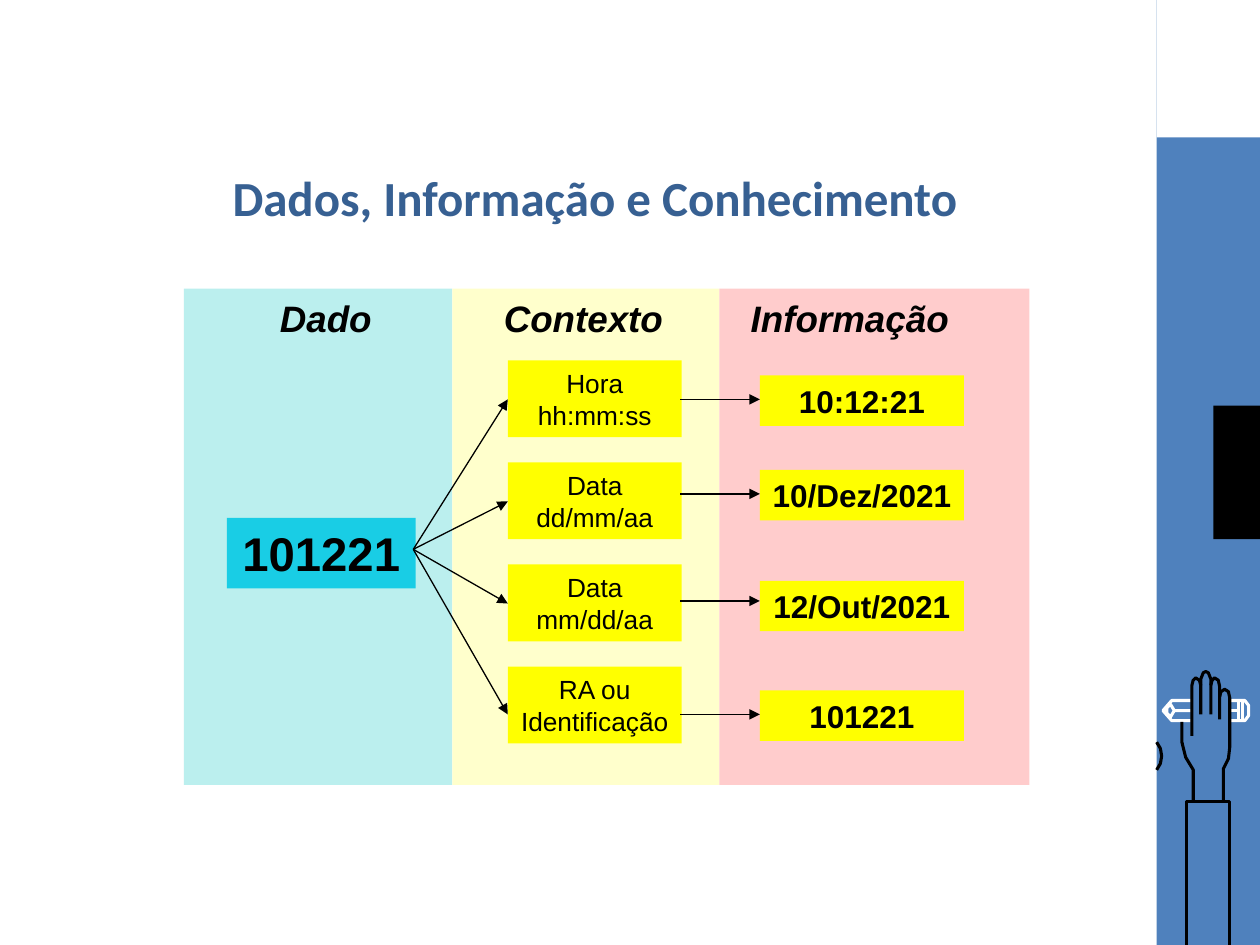
from lxml.etree import SubElement
from pptx import Presentation
from pptx.dml.color import RGBColor
from pptx.enum.shapes import MSO_CONNECTOR as Connector, MSO_SHAPE as Shape
from pptx.enum.text import MSO_ANCHOR as Anchor, PP_ALIGN as Align
from pptx.oxml.ns import qn
from pptx.util import Inches, Pt

BLUE = RGBColor(0x4F, 0x81, 0xBD)
TITLE_BLUE = RGBColor(0x37, 0x60, 0x92)
WHITE = RGBColor(0xFF, 0xFF, 0xFF)
BLACK = RGBColor(0x00, 0x00, 0x00)
AQUA = RGBColor(0xBB, 0xEF, 0xEE)
CREAM = RGBColor(0xFF, 0xFF, 0xCC)
PINK = RGBColor(0xFF, 0xCC, 0xCC)
CYAN = RGBColor(0x19, 0xCD, 0xE5)
YELLOW = RGBColor(0xFF, 0xFF, 0x00)

PENCIL_OUTLINES = [
    [(9.45, 5.56), (9.3, 5.56), (9.23, 5.64), (9.3, 5.72), (9.45, 5.72)],
    [(9.45, 5.64), (9.32, 5.64), (9.29, 5.59), (9.26, 5.62), (9.26, 5.66),
     (9.29, 5.69), (9.32, 5.64)],
    [(9.77, 5.56), (9.88, 5.56), (9.91, 5.6), (9.91, 5.68), (9.88, 5.72), (9.77, 5.72)],
    [(9.77, 5.64), (9.83, 5.64)],
    [(9.83, 5.56), (9.83, 5.72)],
    [(9.86, 5.56), (9.86, 5.72)],
]
HAND_OUTLINES = [
    [(9.46, 5.84), (9.46, 5.44), (9.47, 5.4), (9.49, 5.38), (9.52, 5.4), (9.53, 5.44),
     (9.53, 5.67)],
    [(9.53, 5.44), (9.53, 5.39), (9.55, 5.34), (9.57, 5.33), (9.59, 5.34), (9.61, 5.39),
     (9.61, 5.67)],
    [(9.61, 5.44), (9.62, 5.4), (9.64, 5.38), (9.67, 5.4), (9.68, 5.45), (9.68, 5.71)],
    [(9.68, 5.53), (9.69, 5.49), (9.72, 5.47), (9.75, 5.49), (9.76, 5.54), (9.76, 5.93),
     (9.75, 6.02), (9.71, 6.1), (9.71, 6.36)],
    [(9.38, 5.73), (9.38, 5.89), (9.41, 6.01), (9.47, 6.11), (9.47, 6.36)],
    [(9.42, 7.5), (9.42, 6.36), (9.76, 6.36), (9.76, 7.5)],
    [(9.18, 5.89), (9.21, 5.94), (9.22, 6), (9.21, 6.06), (9.18, 6.11)],
]


def add_box(page, left, top, width, height, color):
    box = page.shapes.add_shape(
        Shape.RECTANGLE, Inches(left), Inches(top), Inches(width), Inches(height))
    box.shadow.inherit = False
    box.fill.solid()
    box.fill.fore_color.rgb = color
    box.line.fill.background()
    return box


def write(box, lines, size, bold=False, italic=False, align=Align.CENTER,
          anchor=Anchor.MIDDLE, margin=0.1):
    frame = box.text_frame
    frame.word_wrap = True
    frame.vertical_anchor = anchor
    frame.margin_left = frame.margin_right = Inches(margin)
    frame.text = lines
    for para in frame.paragraphs:
        para.alignment = align
        font = para.font
        font.name, font.size = "Arial", Pt(size)
        font.bold, font.italic = bold, italic
        font.color.rgb = BLACK


def add_arrow(page, start, end):
    arrow = page.shapes.add_connector(
        Connector.STRAIGHT, *(Inches(value) for value in (*start, *end)))
    arrow.line.color.rgb = BLACK
    arrow.line.width = Pt(0.75)
    SubElement(arrow.line._get_or_add_ln(), qn("a:tailEnd"), type="triangle")
    SubElement(arrow._element.spPr, qn("a:effectLst"))


def add_outline(page, points, color):
    corners = [(Inches(x), Inches(y)) for x, y in points]
    builder = page.shapes.build_freeform(*corners[0])
    builder.add_line_segments(corners[1:], close=False)
    outline = builder.convert_to_shape()
    outline.shadow.inherit = False
    outline.fill.background()
    outline.line.color.rgb = color
    outline.line.width = Pt(1.75)


def add_side_band(page):
    page.background.fill.solid()
    page.background.fill.fore_color.rgb = BLUE
    add_box(page, 0, 0, 9.18, 7.5, WHITE)
    add_box(page, 9.18, 0, 0.82, 1.09, WHITE)
    add_box(page, 9.63, 3.22, 0.37, 1.06, BLACK)
    for points in PENCIL_OUTLINES:
        add_outline(page, points, WHITE)
    for points in HAND_OUTLINES:
        add_outline(page, points, BLACK)


def add_title(page, left, top, width, height):
    title = page.shapes.title
    title.left, title.top = Inches(left), Inches(top)
    title.width, title.height = Inches(width), Inches(height)
    frame = title.text_frame
    frame.text = "Dados, Informação e Conhecimento"
    frame.vertical_anchor = Anchor.BOTTOM
    frame.margin_top = frame.margin_bottom = Inches(0.1)
    para = frame.paragraphs[0]
    para.alignment = Align.CENTER
    para.font.name, para.font.size, para.font.bold = "Calibri", Pt(28), True
    para.font.color.rgb = TITLE_BLUE


def add_columns(page, left, top, height):
    columns = [
        ("Dado", 2.13, AQUA, 0.25, 1.75, Align.CENTER),
        ("Contexto", 2.12, CREAM, 0.31, 1.5, Align.LEFT),
        ("Informação", 2.46, PINK, 0.15, 2.12, Align.LEFT),
    ]
    for heading, width, color, indent, text_width, align in columns:
        add_box(page, left, top, width, height, color)
        label = page.shapes.add_textbox(
            Inches(left + indent), Inches(top + 0.01), Inches(text_width), Inches(0.45))
        write(label, heading, 21, bold=True, italic=True, align=align, anchor=Anchor.TOP)
        left += width


def add_flow(page, left, top):
    source = add_box(page, left, top + 1.25, 1.5, 0.56, CYAN)
    write(source, "101221", 27, bold=True)
    origin = (left + 1.48, top + 1.5)
    context_left, result_left = left + 2.23, left + 4.23
    readings = [
        ("Hora\nhh:mm:ss", "10:12:21", 0.12, 3.17, 3.17),
        ("Data\ndd/mm/aa", "10/Dez/2021", 0.87, 3.98, 3.92),
        ("Data\nmm/dd/aa", "12/Out/2021", 1.75, 4.79, 4.77),
        ("RA ou Identificação", "101221", 2.62, 5.67, 5.67),
    ]
    for row, (context, result, offset, entry, level) in enumerate(readings):
        context_box = add_box(page, context_left, top + 0.81 * row, 1.38, 0.61, YELLOW)
        write(context_box, context, 15, margin=0.05)
        result_box = add_box(page, result_left, top + offset, 1.62, 0.4, YELLOW)
        write(result_box, result, 18, bold=True, margin=0.05)
        add_arrow(page, origin, (context_left, entry))
        add_arrow(page, (context_left + 1.37, level), (result_left, level))


def main():
    deck = Presentation()
    deck.slide_width, deck.slide_height = Inches(10), Inches(7.5)
    page = deck.slides.add_slide(deck.slide_layouts[5])
    add_side_band(page)
    add_title(page, 0.5, 0.65, 8.44, 1.25)
    add_columns(page, 1.46, 2.29, 3.94)
    add_flow(page, 1.8, 2.86)
    title = page.shapes.title._element
    page.shapes._spTree.append(title)
    deck.save("out.pptx")


if __name__ == "__main__":
    main()
